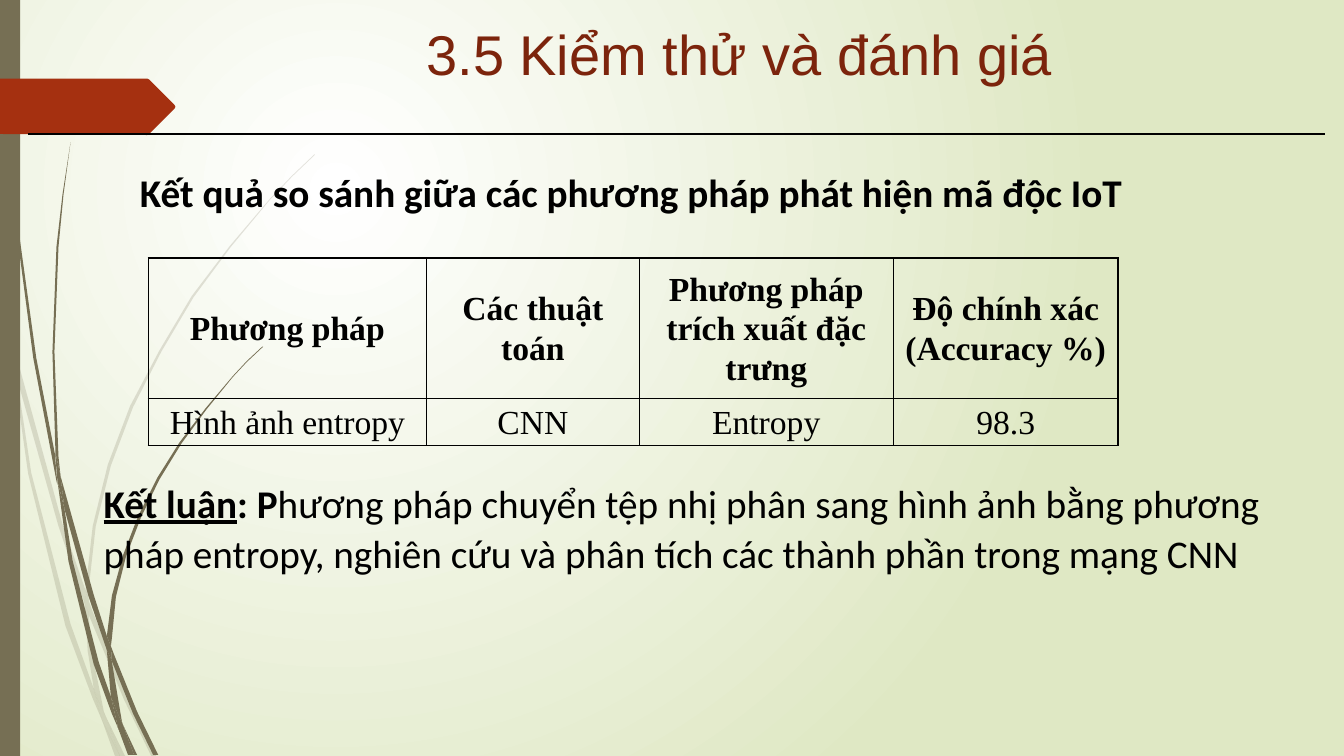
"""Build the slide on testing and evaluating IoT malware detection."""
from pptx import Presentation
from pptx.dml.color import RGBColor
from pptx.enum.shapes import MSO_CONNECTOR, MSO_SHAPE
from pptx.enum.text import MSO_ANCHOR, MSO_AUTO_SIZE, PP_ALIGN
from pptx.oxml import parse_xml
from pptx.oxml.ns import nsdecls
from pptx.oxml.xmlchemy import OxmlElement
from pptx.util import Inches, Pt

THEME = {
    "olive": RGBColor.from_string("766F54"),
    "rust": RGBColor.from_string("A53010"),
    "brown": RGBColor.from_string("7C240C"),
    "black": RGBColor.from_string("000000"),
    "white": RGBColor.from_string("FFFFFF"),
    "pale green": RGBColor.from_string("DFE8C4"),
    "title size": Pt(40),
    "body size": Pt(28),
    "table size": Pt(24),
}

FAINT_BLADES = [
    [(0.11, 3.5), (0.09, 3.22), (0, 2.82), (0, 2.99), (0.1, 3.44)],
    [(0.58, 5.22), (0.84, 5.99), (0.85, 5.86), (0.62, 5.2), (0.14, 3.45), (0.17, 3.76)],
    [(0.92, 6.07), (0.88, 5.96), (0.88, 6.1), (1.23, 6.94), (1.5, 7.5), (1.55, 7.5), (1.27, 6.92)],
    [(1.19, 7.5), (1.24, 7.5), (1.05, 7.11)],
    [(0.93, 6.83), (0.7, 6.19), (0.31, 4.69), (0.17, 3.76), (0.11, 3.5), (0.28, 4.7),
     (0.65, 6.21), (0.92, 6.93), (1.01, 7.14), (0.99, 7.07)],
    [(0.84, 5.99), (0.87, 6.46), (0.93, 6.83), (0.96, 6.92), (1.05, 7.11), (1.03, 7.06),
     (0.91, 6.46), (0.88, 6.1), (0.88, 6.08)],
    [(0.88, 5.84), (0.95, 5.22), (1.1, 4.62), (1.32, 4.04), (1.6, 3.49), (1.92, 2.95),
     (2.29, 2.45), (2.68, 1.98), (2.9, 1.75), (3.12, 1.54), (3.12, 1.53), (2.89, 1.75),
     (2.68, 1.97), (2.28, 2.44), (1.9, 2.94), (1.58, 3.48), (1.29, 4.03), (1.07, 4.61),
     (0.92, 5.22), (0.85, 5.84), (0.85, 5.86), (0.88, 5.96)],
    [(1.01, 7.14), (1.14, 7.5), (1.19, 7.5)],
    [(0.88, 6.08), (0.88, 6.1), (0.88, 5.96), (0.85, 5.86), (0.84, 5.99)],
    [(0.96, 6.92), (0.93, 6.83), (0.99, 7.07), (1.01, 7.14), (1.19, 7.5), (1.05, 7.11)],
]

SOLID_BLADES = [
    [(0.07, 1.1), (0.17, 2.33), (0.33, 3.55), (0.56, 4.77), (0.57, 4.81), (0.55, 4.57),
     (0.55, 4.53), (0.36, 3.55), (0.19, 2.32), (0.08, 1.09), (0.05, 0.48), (0.04, 0),
     (0.03, 0), (0.04, 0.48)],
    [(0.88, 5.92), (1.06, 6.45), (1.06, 6.31), (0.93, 5.9), (0.6, 4.72), (0.64, 5.05)],
    [(1.13, 6.49), (1.1, 6.41), (1.11, 6.56), (1.32, 7.08), (1.52, 7.49), (1.57, 7.49), (1.36, 7.06)],
    [(1.1, 6.91), (0.98, 6.57), (0.72, 5.56), (0.64, 5.05), (0.57, 4.77), (0.68, 5.57),
     (0.93, 6.59), (1.11, 7.08), (1.17, 7.22), (1.16, 7.17)],
    [(0.6, 4.72), (0.58, 4.53), (0.54, 3.49), (0.58, 2.45), (0.63, 1.93), (0.7, 1.41),
     (0.62, 1.93), (0.56, 2.45), (0.52, 3.49), (0.55, 4.49)],
    [(1.33, 7.49), (1.36, 7.49), (1.22, 7.19)],
    [(0.57, 4.77), (0.64, 5.05), (0.6, 4.72), (0.55, 4.49), (0.55, 4.53)],
    [(1.11, 6.33), (1.15, 5.92), (1.25, 5.52), (1.4, 5.13), (1.58, 4.76), (1.8, 4.4),
     (2.05, 4.06), (2.31, 3.74), (2.45, 3.59), (2.61, 3.44), (2.6, 3.44), (2.45, 3.58),
     (2.31, 3.73), (2.04, 4.05), (1.78, 4.39), (1.56, 4.74), (1.37, 5.12), (1.22, 5.51),
     (1.11, 5.91), (1.06, 6.31), (1.1, 6.41)],
    [(1.17, 7.22), (1.27, 7.49), (1.31, 7.49)],
    [(1.06, 6.45), (1.1, 6.91), (1.16, 7.06), (1.22, 7.19), (1.21, 7.16), (1.11, 6.56), (1.09, 6.51)],
    [(1.06, 6.45), (1.09, 6.51), (1.11, 6.56), (1.1, 6.41), (1.06, 6.31)],
    [(1.16, 7.06), (1.1, 6.91), (1.16, 7.17), (1.17, 7.22), (1.3, 7.49), (1.33, 7.49), (1.22, 7.19)],
]

ARROW_TAG = [(0, 0.78), (1.46, 0.78), (1.48, 0.79), (1.73, 1.04), (1.74, 1.06),
             (1.73, 1.08), (1.48, 1.33), (1.46, 1.34), (0, 1.33)]


def add_outline(page, points, color):
    """Add a closed, filled outline through points given in inches."""
    start, *rest = [(Inches(x), Inches(y)) for x, y in points]
    builder = page.shapes.build_freeform(*start)
    builder.add_line_segments(rest, close=True)
    shape = builder.convert_to_shape()
    shape.shadow.inherit = False
    shape.fill.solid()
    shape.fill.fore_color.rgb = color
    shape.line.fill.background()
    return shape


def write(para, text, color, **font):
    """Add text to a paragraph, with a line break at each newline."""
    for index, line in enumerate(text.split("\n")):
        if index:
            para.add_line_break()
        span = para.add_run()
        span.text = line
        span.font.color.rgb = color
        for name, value in font.items():
            setattr(span.font, name, value)


deck = Presentation()
deck.slide_width, deck.slide_height = Inches(13.33), Inches(7.5)
page = deck.slides.add_slide(deck.slide_layouts[5])

backdrop = page.background.fill
backdrop.gradient()
for stop, name, position in zip(backdrop.gradient_stops, ("white", "pale green"), (0, 1)):
    stop.color.rgb = THEME[name]
    stop.position = position
gradient = page.background._cSld.xpath(".//a:gradFill")[0]
for linear in gradient.xpath("a:lin"):
    gradient.remove(linear)
gradient.append(parse_xml(
    f'<a:path {nsdecls("a")} path="circle">'
    '<a:fillToRect l="50000" t="50000" r="100000" b="100000"/></a:path>'))

for points in FAINT_BLADES:
    blade = add_outline(page, points, THEME["olive"])
    alpha = OxmlElement("a:alpha")
    alpha.set("val", "20000")
    blade._element.spPr.xpath("a:solidFill/a:srgbClr")[0].append(alpha)
for points in SOLID_BLADES:
    add_outline(page, points, THEME["olive"])

side_bar = page.shapes.add_shape(MSO_SHAPE.RECTANGLE, 0, 0, Inches(0.2), Inches(7.5))
side_bar.shadow.inherit = False
side_bar.fill.solid()
side_bar.fill.fore_color.rgb = THEME["olive"]
side_bar.line.fill.background()
add_outline(page, ARROW_TAG, THEME["rust"])

title = page.shapes.title
title.left, title.top, title.width, title.height = map(Inches, (1.67, 0.07, 11.32, 0.92))
title.text_frame.vertical_anchor = MSO_ANCHOR.MIDDLE
title.text_frame.auto_size = MSO_AUTO_SIZE.NONE
title_para = title.text_frame.paragraphs[0]
title_para.alignment = PP_ALIGN.CENTER
write(title_para, "3.5 Kiểm thử và đánh giá", THEME["brown"], size=THEME["title size"], name="Arial")
page.shapes._spTree.append(title._element)

rule = page.shapes.add_connector(
    MSO_CONNECTOR.STRAIGHT, Inches(0.28), Inches(1.33), Inches(13.14), Inches(1.33))
rule.line.color.rgb = THEME["black"]
rule.line.width = Pt(2)
rule._element.spPr.append(OxmlElement("a:effectLst"))

TEXTS = [
    ((0.93, 4.67, 12.05, 1.09), {"line_spacing": 1.07, "space_after": Pt(8)}, [
        ("Kết luận", {"bold": True, "underline": True}),
        (": P", {"bold": True}),
        ("hương pháp chuyển tệp nhị phân sang hình ảnh bằng phương pháp entropy, "
         "nghiên cứu và phân tích các thành phần trong mạng CNN", {"bold": False})]),
    ((1.29, 1.62, 10.4, 0.57), {}, [
        ("Kết quả so sánh giữa các phương pháp phát hiện mã độc IoT", {"bold": True})]),
]
for place, layout, spans in TEXTS:
    box = page.shapes.add_textbox(*map(Inches, place))
    box.text_frame.word_wrap = True
    box.text_frame.auto_size = MSO_AUTO_SIZE.SHAPE_TO_FIT_TEXT
    para = box.text_frame.paragraphs[0]
    for name, value in layout.items():
        setattr(para, name, value)
    for text, font in spans:
        write(para, text, THEME["black"], size=THEME["body size"], name="Calibri", **font)

ROWS = [
    ["Phương pháp", "Các thuật toán", "Phương pháp trích xuất đặc trưng", "Độ chính xác\n(Accuracy %)"],
    ["Hình ảnh entropy", "CNN", "Entropy", "98.3"],
]
CELL_FORMAT = {
    "vertical_anchor": MSO_ANCHOR.MIDDLE,
    "margin_left": Inches(0.04), "margin_right": Inches(0.04),
    "margin_top": 0, "margin_bottom": 0,
}
PARA_FORMAT = {"alignment": PP_ALIGN.CENTER, "line_spacing": 1.07, "space_after": Pt(8)}
table = page.shapes.add_table(2, 4, *map(Inches, (1.47, 2.56, 9.62, 1.86))).table
table.horz_banding = False
for column, width in zip(table.columns, (2.76, 2.11, 2.52, 2.23)):
    column.width = Inches(width)
for row, height in zip(table.rows, (1.39, 0.47)):
    row.height = Inches(height)
for row_index, texts in enumerate(ROWS):
    for column_index, text in enumerate(texts):
        cell = table.cell(row_index, column_index)
        for name, value in CELL_FORMAT.items():
            setattr(cell, name, value)
        cell.fill.background()
        for order, side in enumerate(("lnL", "lnR", "lnT", "lnB")):
            cell._tc.tcPr.insert(order, parse_xml(
                f'<a:{side} {nsdecls("a")} w="12700"><a:solidFill>'
                f'<a:srgbClr val="{THEME["black"]}"/></a:solidFill></a:{side}>'))
        para = cell.text_frame.paragraphs[0]
        for name, value in PARA_FORMAT.items():
            setattr(para, name, value)
        write(para, text, THEME["black"], size=THEME["table size"],
              name="Times New Roman", bold=row_index == 0)

deck.save("out.pptx")
